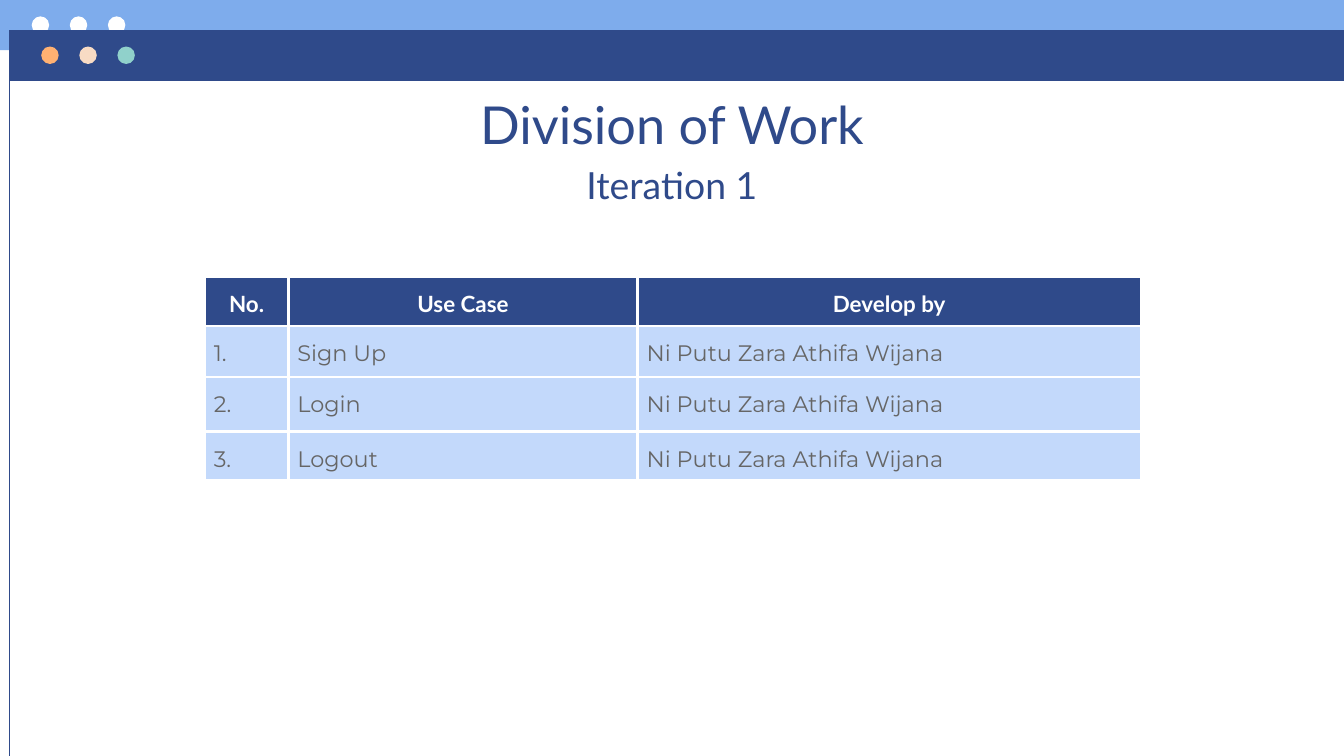
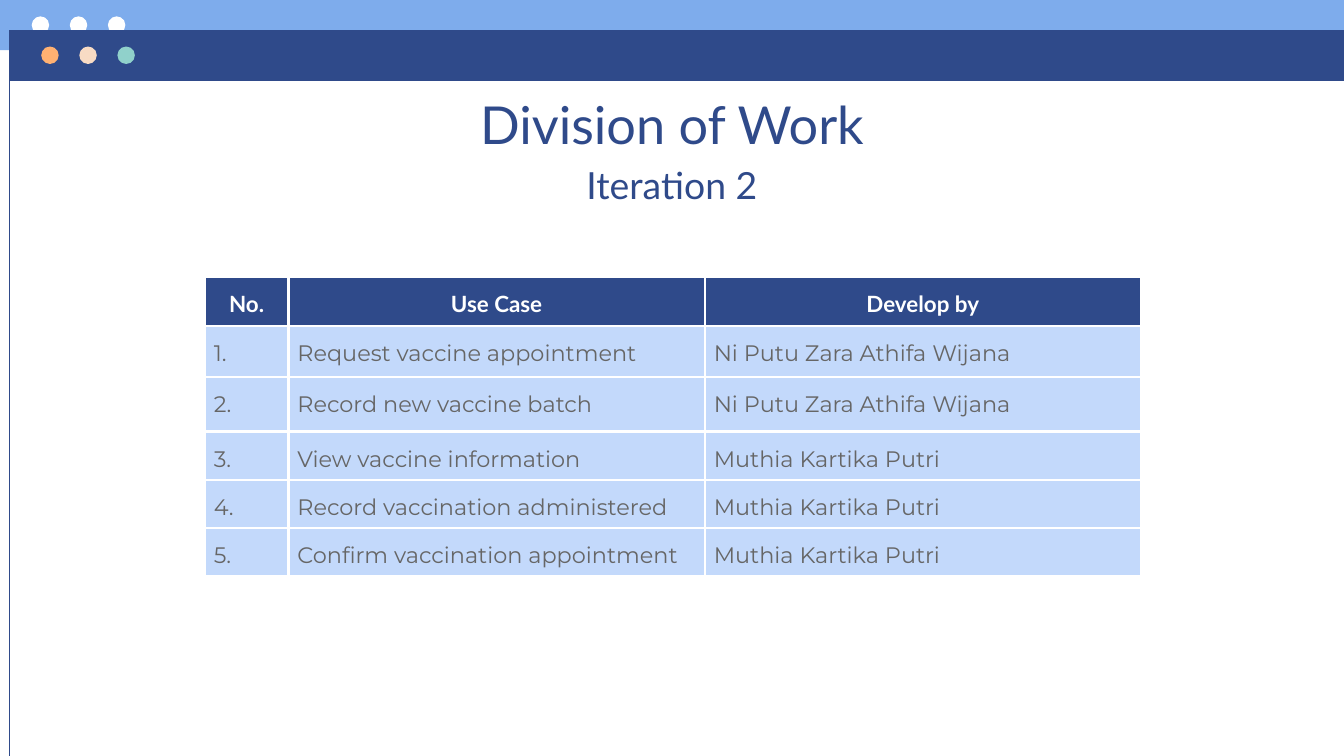
from dataclasses import dataclass

from lxml import etree
from pptx import Presentation
from pptx.dml.color import RGBColor
from pptx.enum.shapes import MSO_CONNECTOR, MSO_SHAPE
from pptx.enum.text import MSO_ANCHOR, MSO_AUTO_SIZE, PP_ALIGN
from pptx.oxml.ns import qn
from pptx.util import Cm, Pt

RECTANGLE, OVAL = MSO_SHAPE.RECTANGLE, MSO_SHAPE.OVAL
STRAIGHT = MSO_CONNECTOR.STRAIGHT
TOP, NO_AUTOFIT = MSO_ANCHOR.TOP, MSO_AUTO_SIZE.NONE
LEFT, CENTER, JUSTIFY = PP_ALIGN.LEFT, PP_ALIGN.CENTER, PP_ALIGN.JUSTIFY


@dataclass(frozen=True)
class Theme:
    navy: str = "2F4A8A"
    sky: str = "7EACEC"
    cell: str = "C3D9FB"
    white: str = "FFFFFF"
    grey: str = "666666"
    dots: tuple = ("FFB172", "F8DBC4", "90D1CB")
    heading_font: str = "Lato"
    body_font: str = "Montserrat"
    title_size: int = 28
    subtitle_size: int = 20
    table_size: int = 12
    line_width: float = 0.75
    border_width: float = 1.5


@dataclass(frozen=True)
class Box:
    """A region in centimetres."""
    left: float
    top: float
    width: float
    height: float

    def lengths(self):
        return Cm(self.left), Cm(self.top), Cm(self.width), Cm(self.height)


THEME = Theme()
PAGE = Box(0, 0, 25.4, 14.29)
BACK_BAND = Box(0, 0, 25.4, 0.95)
FRONT_BAND = Box(0.18, 0.57, 25.22, 0.96)
TITLE_BOX = Box(1.98, 1.5, 21.44, 1.3)
SUBTITLE_BOX = Box(1.98, 2.82, 21.44, 1.3)
TABLE_BOX = Box(3.87, 5.23, 17.69, 3.87)

DOT_SIZE, DOT_PITCH, DOT_INSET, DOT_DROP = 0.33, 0.72, 0.6, 0.31
TEXT_INSET, CELL_INSET = 0.25, 0.17
NUMBER_WIDTH = 1.58
FIRST_ROWS, ROW_HEIGHT = (0.93, 0.97, 1.03), 0.91

HEADERS = ("No.", "Use Case", "Develop by")
ZARA, MUTHIA = "Ni Putu Zara Athifa Wijana", "Muthia Kartika Putri"
# Subtitle, width of the use case column, its alignment, tasks
ITERATIONS = (
    ("Iteration 1", 6.6, JUSTIFY, (
        ("Sign Up", ZARA),
        ("Login", ZARA),
        ("Logout", ZARA),
    )),
    ("Iteration 2", 7.87, LEFT, (
        ("Request vaccine appointment", ZARA),
        ("Record new vaccine batch", ZARA),
        ("View vaccine information", MUTHIA),
        ("Record vaccination administered", MUTHIA),
        ("Confirm vaccination appointment", MUTHIA),
    )),
)


def rgb(color):
    return RGBColor.from_string(color)


def add_filled_shape(slide, kind, box, color):
    shape = slide.shapes.add_shape(kind, *box.lengths())
    shape.shadow.inherit = False
    shape.fill.solid()
    shape.fill.fore_color.rgb = rgb(color)
    shape.line.fill.background()


def write_text(paragraph, text, size, font, color, alignment, bold=False):
    paragraph.alignment = alignment
    run = paragraph.add_run()
    run.text = text
    run.font.size = Pt(size)
    run.font.name = font
    run.font.bold = bold
    run.font.color.rgb = rgb(color)


# Window bars
def add_band(slide, box, color, dot_colors):
    add_filled_shape(slide, RECTANGLE, box, color)
    for index, dot_color in enumerate(dot_colors):
        dot = Box(box.left + DOT_INSET + index * DOT_PITCH,
                  box.top + DOT_DROP, DOT_SIZE, DOT_SIZE)
        add_filled_shape(slide, OVAL, dot, dot_color)


def add_window_frame(slide):
    add_band(slide, BACK_BAND, THEME.sky, (THEME.white,) * 3)
    add_band(slide, FRONT_BAND, THEME.navy, THEME.dots)
    edge = slide.shapes.add_connector(
        STRAIGHT, Cm(FRONT_BAND.left), Cm(FRONT_BAND.top),
        Cm(FRONT_BAND.left), Cm(PAGE.height))
    edge.line.color.rgb = rgb(THEME.navy)
    edge.line.width = Pt(THEME.line_width)
    etree.SubElement(edge.element.spPr, qn("a:effectLst"))


# Headings
def format_heading(shape, box, text, size):
    shape.left, shape.top, shape.width, shape.height = box.lengths()
    frame = shape.text_frame
    frame.word_wrap = True
    frame.auto_size = NO_AUTOFIT
    frame.vertical_anchor = TOP
    frame.margin_left = frame.margin_right = Cm(TEXT_INSET)
    frame.margin_top = frame.margin_bottom = Cm(TEXT_INSET)
    write_text(frame.paragraphs[0], text, size, THEME.heading_font,
               THEME.navy, CENTER)


# Table of tasks
def add_cell_borders(cell):
    properties = cell._tc.get_or_add_tcPr()
    for index, side in enumerate(("lnL", "lnR", "lnT", "lnB")):
        line = etree.Element(qn(f"a:{side}"), w=str(Pt(THEME.border_width)))
        fill = etree.SubElement(line, qn("a:solidFill"))
        etree.SubElement(fill, qn("a:srgbClr"), val=THEME.white)
        properties.insert(index, line)


def format_cell(cell, text, fill, font, color, alignment, bold):
    cell.fill.solid()
    cell.fill.fore_color.rgb = rgb(fill)
    cell.margin_left = cell.margin_right = Cm(CELL_INSET)
    cell.margin_top = cell.margin_bottom = 0
    cell.vertical_anchor = TOP
    paragraph = cell.text_frame.paragraphs[0]
    paragraph.line_spacing = 1.5
    write_text(paragraph, text, THEME.table_size, font, color, alignment, bold)
    add_cell_borders(cell)


def add_task_table(slide, box, case_width, case_alignment, tasks):
    rows = [HEADERS]
    rows += [(f"{number}.", *task) for number, task in enumerate(tasks, 1)]
    table = slide.shapes.add_table(len(rows), len(HEADERS),
                                   *box.lengths()).table
    table.first_row = table.horz_banding = False

    widths = (NUMBER_WIDTH, case_width, box.width - NUMBER_WIDTH - case_width)
    for column, width in zip(table.columns, widths):
        column.width = Cm(width)
    for index, row in enumerate(table.rows):
        row.height = Cm(FIRST_ROWS[index] if index < len(FIRST_ROWS)
                        else ROW_HEIGHT)

    alignments = (JUSTIFY, case_alignment, JUSTIFY)
    for row_index, texts in enumerate(rows):
        for column_index, text in enumerate(texts):
            cell = table.cell(row_index, column_index)
            if row_index == 0:
                format_cell(cell, text, THEME.navy, THEME.heading_font,
                            THEME.white, CENTER, True)
            else:
                format_cell(cell, text, THEME.cell, THEME.body_font,
                            THEME.grey, alignments[column_index], False)


def add_iteration_slide(presentation, subtitle, case_width, case_alignment,
                        tasks):
    slide = presentation.slides.add_slide(presentation.slide_layouts[5])
    add_window_frame(slide)
    format_heading(slide.shapes.title, TITLE_BOX, "Division of Work",
                   THEME.title_size)
    add_task_table(slide, TABLE_BOX, case_width, case_alignment, tasks)
    subtitle_shape = slide.shapes.add_textbox(*SUBTITLE_BOX.lengths())
    format_heading(subtitle_shape, SUBTITLE_BOX, subtitle,
                   THEME.subtitle_size)


def main():
    presentation = Presentation()
    presentation.slide_width = Cm(PAGE.width)
    presentation.slide_height = Cm(PAGE.height)
    for iteration in ITERATIONS:
        add_iteration_slide(presentation, *iteration)
    presentation.save("out.pptx")


if __name__ == "__main__":
    main()
